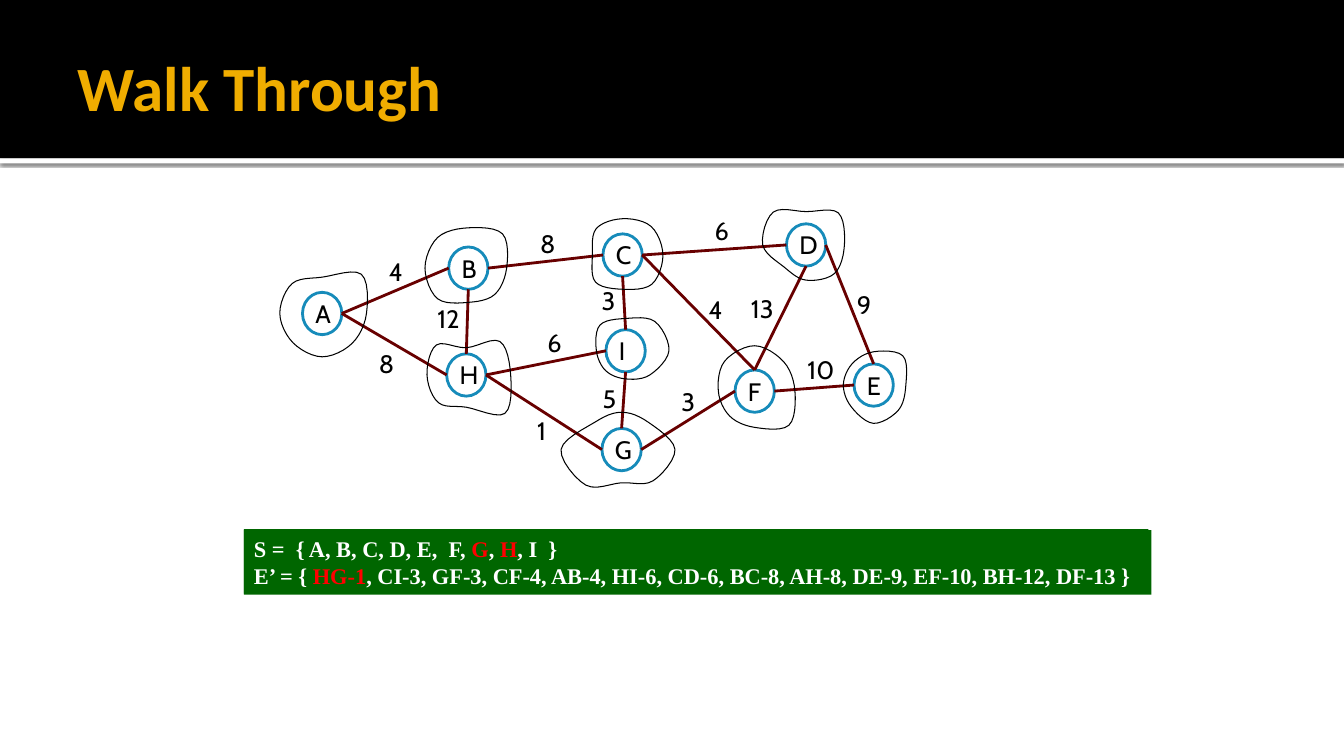
"""Build the walk-through slide of a weighted graph with its node and edge sets."""
from dataclasses import dataclass
from enum import Enum
from math import cos, pi, sin

from lxml.etree import SubElement
from pptx import Presentation
from pptx.dml.color import RGBColor
from pptx.enum.shapes import MSO_CONNECTOR, MSO_SHAPE
from pptx.enum.text import MSO_ANCHOR, MSO_AUTO_SIZE, PP_ALIGN
from pptx.oxml.ns import qn
from pptx.shapes.autoshape import Shape
from pptx.shapes.shapetree import SlideShapes
from pptx.text.text import TextFrame
from pptx.util import Inches, Pt

WHITE = RGBColor(0xFF, 0xFF, 0xFF)
BLACK = RGBColor(0x00, 0x00, 0x00)
GOLD = RGBColor(0xF0, 0xAD, 0x00)
GREEN = RGBColor(0x00, 0x66, 0x00)
RED = RGBColor(0xFF, 0x00, 0x00)
BLUE = RGBColor(0x16, 0x8B, 0xBA)
MAROON = RGBColor(0x68, 0x00, 0x00)
NODE_WIDTH, NODE_HEIGHT = 0.39, 0.42
CURVE_STEPS = 6

Point = tuple[float, float]


class Side(Enum):
    TOP = (0.5, 0)
    LEFT = (0, 0.5)
    BOTTOM = (0.5, 1)
    RIGHT = (1, 0.5)


@dataclass(frozen=True)
class Node:
    left: float
    top: float
    radii: list[float]

    def at(self, side: Side) -> Point:
        across, down = side.value
        return self.left + across * NODE_WIDTH, self.top + down * NODE_HEIGHT

    def outline(self) -> list[Point]:
        center_x, center_y = self.left + NODE_WIDTH / 2, self.top + NODE_HEIGHT / 2
        turn = 2 * pi / len(self.radii)
        return [(center_x + radius * cos(turn * index), center_y + radius * sin(turn * index))
                for index, radius in enumerate(self.radii)]


@dataclass(frozen=True)
class Edge:
    start: str
    start_side: Side
    end: str
    end_side: Side
    weight: str
    left: float
    top: float


NODES = {
    "H": Node(4.43, 3.51, [0.44, 0.54, 0.32, 0.39, 0.39, 0.42, 0.27, 0.47]),
    "B": Node(4.45, 2.45, [0.38, 0.37, 0.34, 0.43, 0.43, 0.43, 0.4, 0.48]),
    "C": Node(5.98, 2.32, [0.4, 0.41, 0.34, 0.38, 0.3, 0.37, 0.36, 0.4]),
    "I": Node(6.01, 3.27, [0.43, 0.34, 0.28, 0.28, 0.29, 0.36, 0.32, 0.41]),
    "A": Node(3.0, 2.9, [0.44, 0.42, 0.43, 0.41, 0.42, 0.42, 0.36, 0.55]),
    "D": Node(7.8, 2.22, [0.38, 0.4, 0.35, 0.31, 0.43, 0.46, 0.33, 0.45]),
    "G": Node(5.97, 4.25, [0.53, 0.44, 0.33, 0.5, 0.6, 0.38, 0.37, 0.38]),
    "F": Node(7.29, 3.67, [0.4, 0.48, 0.36, 0.35, 0.36, 0.42, 0.45, 0.41]),
    "E": Node(8.47, 3.61, [0.32, 0.35, 0.38, 0.31, 0.3, 0.3, 0.33, 0.41]),
}

EDGES = [
    Edge("H", Side.TOP, "B", Side.BOTTOM, "12", 4.24, 2.96),
    Edge("C", Side.BOTTOM, "I", Side.TOP, "3", 5.87, 2.78),
    Edge("C", Side.LEFT, "B", Side.RIGHT, "8", 5.26, 2.22),
    Edge("C", Side.RIGHT, "F", Side.TOP, "4", 6.93, 2.87),
    Edge("A", Side.RIGHT, "H", Side.LEFT, "8", 3.66, 3.41),
    Edge("H", Side.RIGHT, "G", Side.LEFT, "1", 5.23, 4.07),
    Edge("G", Side.TOP, "I", Side.BOTTOM, "5", 5.88, 3.75),
    Edge("A", Side.RIGHT, "B", Side.LEFT, "4", 3.76, 2.49),
    Edge("H", Side.RIGHT, "I", Side.LEFT, "6", 5.33, 3.2),
    Edge("G", Side.RIGHT, "F", Side.LEFT, "3", 6.66, 3.78),
    Edge("F", Side.RIGHT, "E", Side.LEFT, "10", 7.91, 3.47),
    Edge("D", Side.LEFT, "C", Side.RIGHT, "6", 6.99, 2.09),
    Edge("D", Side.BOTTOM, "F", Side.TOP, "13", 7.35, 2.86),
    Edge("D", Side.RIGHT, "E", Side.TOP, "9", 8.4, 2.82),
]

SET_LINES = [
    [("S =  { A, B, C, D, E,  F, ", WHITE), ("G", RED), (", ", WHITE), ("H", RED),
     (", I  }", WHITE)],
    [("E’ = { ", WHITE), ("HG-1", RED),
     (", CI-3, GF-3, CF-4, AB-4, HI-6, CD-6, BC-8, AH-8, DE-9, EF-10, BH-12, DF-13 }", WHITE)],
]


def write_text(frame: TextFrame, lines: list[list[tuple[str, RGBColor]]], *, font: str,
               size: float, bold: bool = False) -> None:
    for index, line in enumerate(lines):
        paragraph = frame.add_paragraph() if index else frame.paragraphs[0]
        paragraph.alignment = PP_ALIGN.LEFT
        for text, color in line:
            run = paragraph.add_run()
            run.text = text
            run.font.name, run.font.size, run.font.bold = font, Pt(size), bold
            run.font.color.rgb = color


def add_bar(shapes: SlideShapes, left: float, top: float, width: float, height: float,
            color: RGBColor) -> Shape:
    bar = shapes.add_shape(MSO_SHAPE.RECTANGLE, Inches(left), Inches(top), Inches(width),
                           Inches(height))
    bar.shadow.inherit = False
    bar.fill.solid()
    bar.fill.fore_color.rgb = color
    bar.line.fill.background()
    return bar


def add_drop_shadow(shape: Shape) -> None:
    effects = shape.element.spPr.find(qn("a:effectLst"))
    shadow = SubElement(effects, qn("a:outerShdw"), blurRad=str(Pt(2.5)), dist=str(Pt(0.8)),
                        dir="5400000", algn="tl", rotWithShape="0")
    color = SubElement(shadow, qn("a:srgbClr"), val=str(BLACK))
    SubElement(color, qn("a:alpha"), val="60000")


def add_label(shapes: SlideShapes, text: str, left: float, top: float) -> None:
    width = 0.2 + 0.14 * len(text)
    box = shapes.add_textbox(Inches(left), Inches(top), Inches(width), Inches(0.4))
    box.text_frame.word_wrap = False
    box.text_frame.auto_size = MSO_AUTO_SIZE.SHAPE_TO_FIT_TEXT
    write_text(box.text_frame, [[(text, BLACK)]], font="Cabin", size=18)


def outline_only(shape: Shape, color: RGBColor, width: float) -> None:
    shape.shadow.inherit = False
    shape.fill.background()
    shape.line.color.rgb, shape.line.width = color, Pt(width)


def add_node(shapes: SlideShapes, name: str, node: Node) -> None:
    members = shapes.add_group_shape().shapes
    circle = members.add_shape(MSO_SHAPE.OVAL, Inches(node.left), Inches(node.top),
                               Inches(NODE_WIDTH), Inches(NODE_HEIGHT))
    outline_only(circle, BLUE, 2)
    add_label(members, name, node.left + 0.03, node.top + 0.01)


def add_edge(shapes: SlideShapes, edge: Edge) -> None:
    start, end = NODES[edge.start].at(edge.start_side), NODES[edge.end].at(edge.end_side)
    ends = [Inches(value) for value in (*start, *end)]
    line = shapes.add_connector(MSO_CONNECTOR.STRAIGHT, *ends)
    line.line.color.rgb, line.line.width = MAROON, Pt(2)
    SubElement(line.element.spPr, qn("a:effectLst"))


def smooth_loop(points: list[Point]) -> list[Point]:
    curve = []
    for index in range(len(points)):
        corners = [points[(index + shift) % len(points)] for shift in (-1, 0, 1, 2)]
        for step in range(CURVE_STEPS):
            t = step / CURVE_STEPS
            x, y = (b + t * (c - a) / 2 + t**2 * (2 * a - 5 * b + 4 * c - d) / 2
                    + t**3 * (3 * b - a - 3 * c + d) / 2 for a, b, c, d in zip(*corners))
            curve.append((x, y))
    return curve


def add_outline(shapes: SlideShapes, node: Node) -> None:
    curve = [(Inches(x), Inches(y)) for x, y in smooth_loop(node.outline())]
    builder = shapes.build_freeform(*curve[0])
    builder.add_line_segments(curve[1:], close=True)
    outline_only(builder.convert_to_shape(), BLACK, 0.75)


def format_title(title: Shape) -> None:
    title.left, title.top = Inches(0.67), Inches(0.17)
    title.width, title.height = Inches(12), Inches(1.37)
    frame = title.text_frame
    frame.auto_size, frame.vertical_anchor = MSO_AUTO_SIZE.NONE, MSO_ANCHOR.MIDDLE
    frame.margin_left = Inches(0.1)
    frame.margin_top = frame.margin_right = frame.margin_bottom = Inches(0.05)
    write_text(frame, [[("Walk Through", GOLD)]], font="Calibri", size=45, bold=True)


def main() -> None:
    presentation = Presentation()
    presentation.slide_width, presentation.slide_height = Inches(13.33), Inches(7.5)
    shapes = presentation.slides.add_slide(presentation.slide_layouts[5]).shapes
    title = shapes.title
    add_drop_shadow(add_bar(shapes, 0, 1.57, 13.33, 0.05, WHITE))
    add_bar(shapes, 0, 0, 13.33, 1.57, BLACK)
    format_title(title)
    title.element.getparent().append(title.element)
    add_bar(shapes, 2.42, 5.25, 8.97, 0.64, GREEN)
    for name, node in NODES.items():
        add_node(shapes, name, node)
    for edge in EDGES:
        add_edge(shapes, edge)
        add_label(shapes, edge.weight, edge.left, edge.top)
    for node in NODES.values():
        add_outline(shapes, node)
    sets_box = add_bar(shapes, 2.42, 5.26, 9, 0.64, GREEN)
    sets_box.text_frame.word_wrap = True
    sets_box.text_frame.vertical_anchor = MSO_ANCHOR.TOP
    write_text(sets_box.text_frame, SET_LINES, font="Times New Roman", size=16, bold=True)
    presentation.save("out.pptx")


if __name__ == "__main__":
    main()
